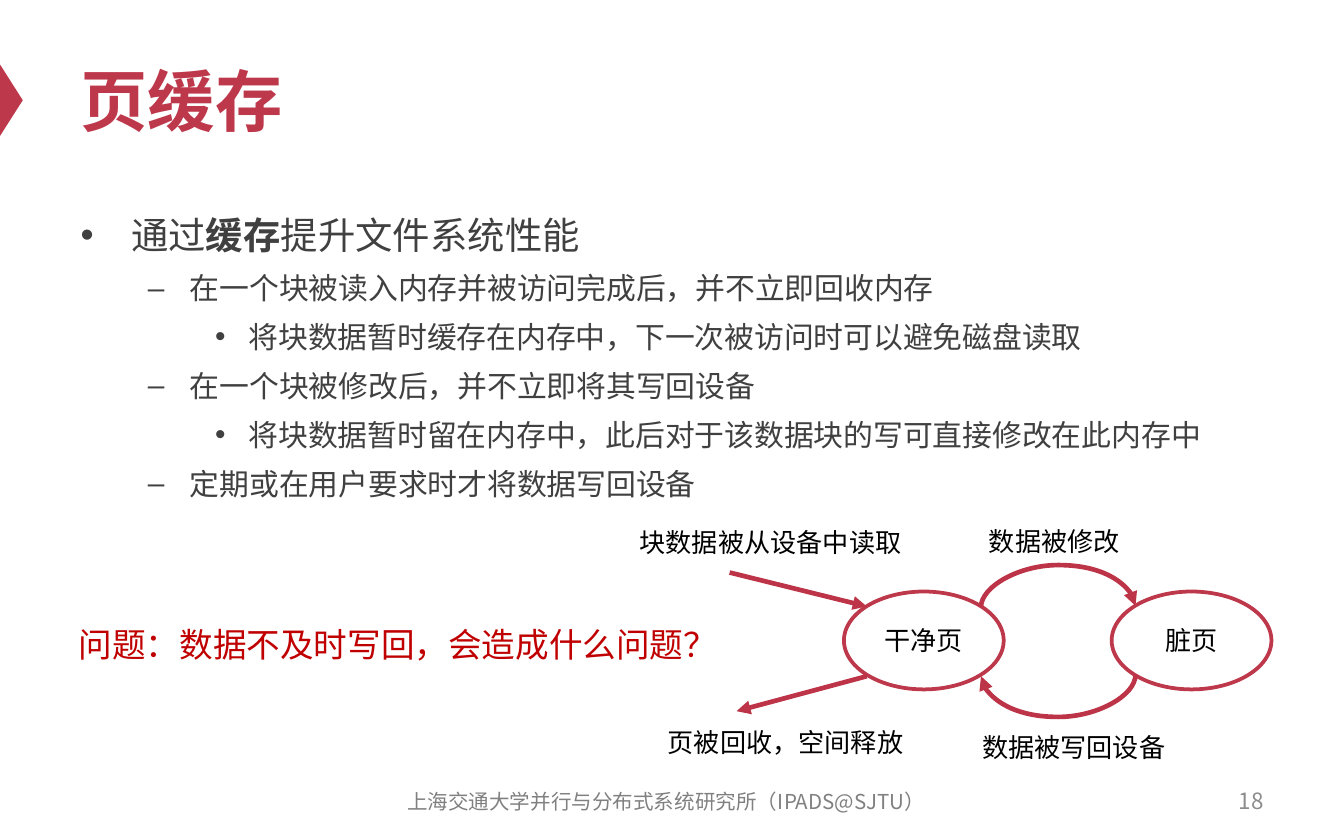
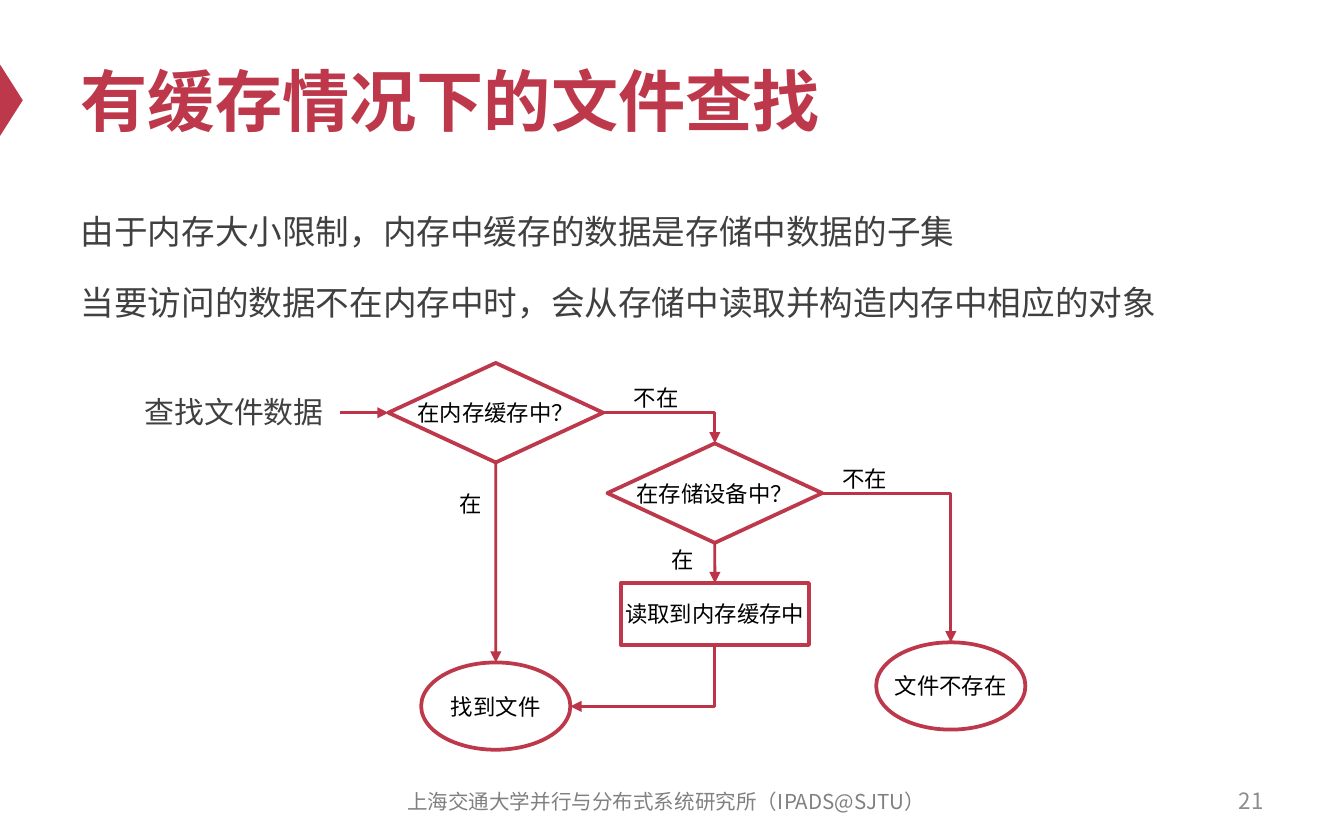
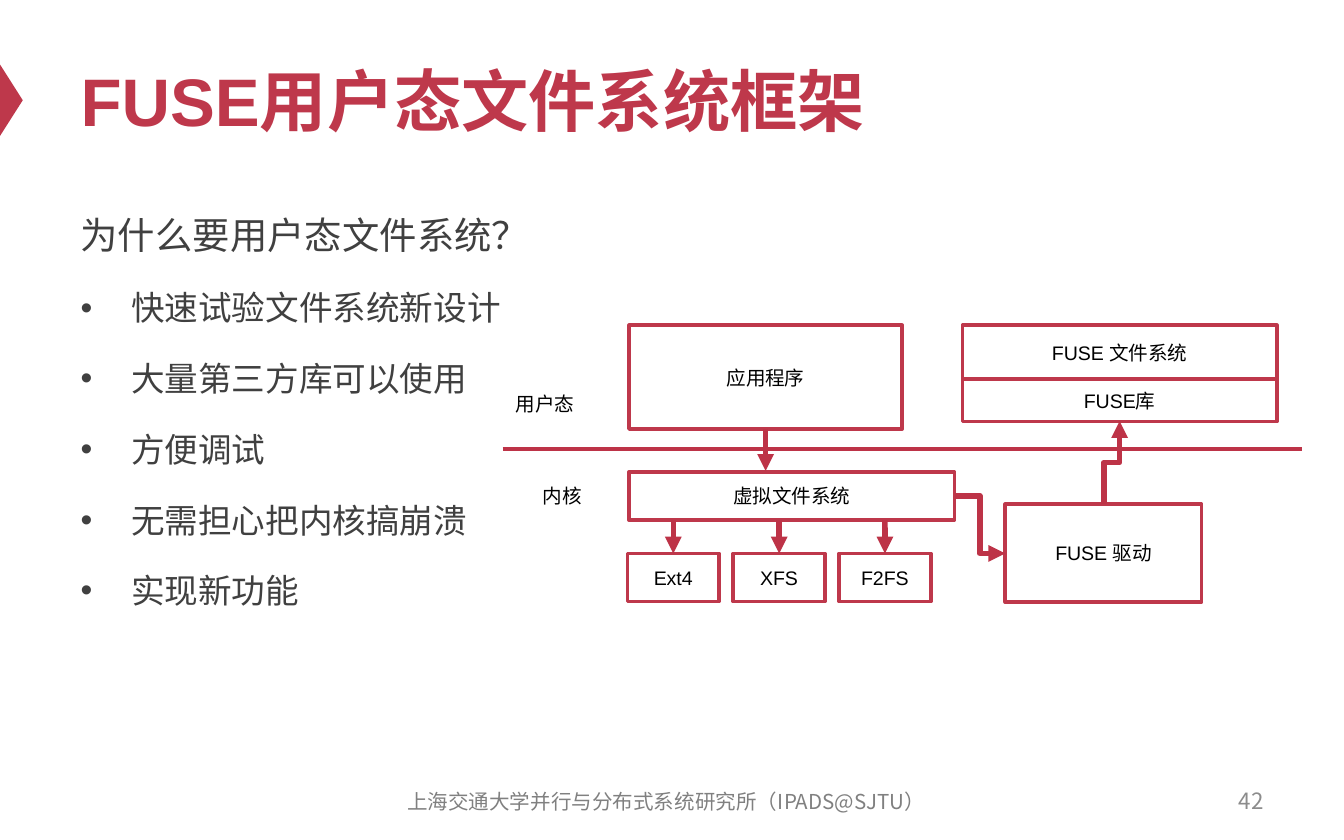
from lxml import etree
from pptx import Presentation
from pptx.dml.color import RGBColor
from pptx.enum.shapes import MSO_CONNECTOR, MSO_SHAPE
from pptx.enum.text import MSO_ANCHOR, MSO_AUTO_SIZE, PP_ALIGN
from pptx.oxml.ns import qn
from pptx.util import Cm, Pt

RED = RGBColor(0xBE, 0x38, 0x4B)
ARROW_RED = RGBColor(0xBD, 0x33, 0x47)
QUESTION_RED = RGBColor(0xC0, 0x00, 0x00)
BLACK = RGBColor(0x00, 0x00, 0x00)
WHITE = RGBColor(0xFF, 0xFF, 0xFF)
BODY_GREY = RGBColor(0x40, 0x40, 0x40)
FOOTER_GREY = RGBColor(0x80, 0x80, 0x80)
NUMBER_GREY = RGBColor(0x8C, 0x8C, 0x8C)

LATIN_FONT = "Arial"
CJK_FONT = "Noto Sans CJK SC"

RECT, OVAL = MSO_SHAPE.RECTANGLE, MSO_SHAPE.OVAL
DIAMOND, TRIANGLE = MSO_SHAPE.DIAMOND, MSO_SHAPE.ISOSCELES_TRIANGLE
STRAIGHT, ELBOW, CURVE = MSO_CONNECTOR.STRAIGHT, MSO_CONNECTOR.ELBOW, MSO_CONNECTOR.CURVE
LEFT, CENTER, RIGHT = PP_ALIGN.LEFT, PP_ALIGN.CENTER, PP_ALIGN.RIGHT
MIDDLE = MSO_ANCHOR.MIDDLE
NO_FIT, GROW = MSO_AUTO_SIZE.NONE, MSO_AUTO_SIZE.SHAPE_TO_FIT_TEXT
TOP_SIDE, LEFT_SIDE, BOTTOM_SIDE = 0, 1, 2

FOOTER = "上海交通大学并行与分布式系统研究所（IPADS@SJTU）"
TITLE_FORMAT = {"size": Pt(36), "bold": True}

# Title, page number, body width, then (level, size, bulleted, text); ** marks bold
PAGES = [
    ("页缓存", 18, 22.86, [
        (0, 20, True, "通过**缓存**提升文件系统性能"),
        (1, 16, True, "在一个块被读入内存并被访问完成后，并不立即回收内存"),
        (2, 16, True, "将块数据暂时缓存在内存中，下一次被访问时可以避免磁盘读取"),
        (1, 16, True, "在一个块被修改后，并不立即将其写回设备"),
        (2, 16, True, "将块数据暂时留在内存中，此后对于该数据块的写可直接修改在此内存中"),
        (1, 16, True, "定期或在用户要求时才将数据写回设备"),
    ]),
    ("有缓存情况下的文件查找", 21, 22.86, [
        (0, 18, False, "由于内存大小限制，内存中缓存的数据是存储中数据的子集"),
        (0, 18, False, "当要访问的数据不在内存中时，会从存储中读取并构造内存中相应的对象"),
    ]),
    ("FUSE用户态文件系统框架", 42, 11.43, [
        (0, 20, False, "为什么要用户态文件系统？"),
        (0, 18, True, "快速试验文件系统新设计"),
        (0, 18, True, "大量第三方库可以使用"),
        (0, 18, True, "方便调试"),
        (0, 18, True, "无需担心把内核搞崩溃"),
        (0, 18, True, "实现新功能"),
    ]),
]


def add_box(slide, kind, place, text, size, color=BLACK, align=LEFT):
    """Add an outlined node of the given kind, or a text box if kind is None."""
    lengths = [Cm(length) for length in place]
    if kind is None:
        box = slide.shapes.add_textbox(*lengths)
    else:
        box = slide.shapes.add_shape(kind, *lengths)
        box.shadow.inherit = False
        box.fill.solid()
        box.fill.fore_color.rgb = WHITE
        box.line.color.rgb = RED
        box.line.width = Pt(2)
        align = CENTER
    frame = box.text_frame
    is_label = align == LEFT
    frame.word_wrap = kind is None and not is_label
    frame.auto_size = GROW if is_label else NO_FIT
    if not is_label:
        frame.vertical_anchor = MIDDLE
    paragraph = frame.paragraphs[0]
    paragraph.alignment = align
    run = paragraph.add_run()
    run.text = text
    run.font.size = Pt(size)
    run.font.color.rgb = color
    return box


def add_link(slide, kind, begin, end, width, preset=None, turned=False, bulge=None, arrow=True):
    """Draw a connector; a turned one leaves its start vertically."""
    x1, y1, x2, y2 = (Cm(length) for length in (*begin, *end))
    link = slide.shapes.add_connector(kind, x1, y1, x2, y2)
    link.line.color.rgb = ARROW_RED
    link.line.width = Pt(width)
    properties = link.element.spPr
    etree.SubElement(properties, qn("a:effectLst"))
    if arrow:
        etree.SubElement(properties.find(qn("a:ln")), qn("a:tailEnd"), type="triangle")
    geometry = properties.find(qn("a:prstGeom"))
    if preset:
        geometry.set("prst", preset)
    if turned:
        link.width, link.height = abs(y2 - y1), abs(x2 - x1)
        link.left = (x1 + x2 - link.width) // 2
        link.top = (y1 + y2 - link.height) // 2
        for name, value in {"rot": 5400000, "flipH": int(y2 < y1), "flipV": int(x2 > x1)}.items():
            properties.xfrm.set(name, str(value))
    if bulge:
        share = round(Cm(bulge) / abs(y2 - y1) * 100000)
        guides = geometry.find(qn("a:avLst"))
        etree.SubElement(guides, qn("a:gd"), name="adj1", fmla=f"val {share}")
    return link


prs = Presentation()
prs.slide_width, prs.slide_height = Cm(25.4), Cm(25.4 / 1.6)
layout = prs.slide_layouts[1]

# Shared frame: title, body, footer and page number
slides = []
for title_text, number, body_width, lines in PAGES:
    slide = prs.slides.add_slide(layout)
    slides.append(slide)
    title, body = slide.placeholders
    for holder, place in ((title, (1.27, 0.64, 22.86, 2.49)), (body, (1.27, 3.71, body_width, 10.46))):
        holder.left, holder.top, holder.width, holder.height = (Cm(length) for length in place)
        holder.text_frame.auto_size = NO_FIT

    title.text_frame.vertical_anchor = MIDDLE
    heading = title.text_frame.paragraphs[0]
    heading.alignment = LEFT
    run = heading.add_run()
    run.text = title_text
    run.font.color.rgb = RED
    for name, value in TITLE_FORMAT.items():
        setattr(run.font, name, value)

    for index, (level, size, bulleted, text) in enumerate(lines):
        line = body.text_frame.add_paragraph() if index else body.text_frame.paragraphs[0]
        if not bulleted:
            settings = line._p.get_or_add_pPr()
            settings.set("marL", "0")
            settings.set("indent", "0")
            etree.SubElement(settings, qn("a:buNone"))
        line.level = level
        line.line_spacing = 1.2
        if level == 0:
            line.space_before = Pt(12 if index else 0)
        for part_index, part in enumerate(text.split("**")):
            run = line.add_run()
            run.text = part
            run.font.size = Pt(size)
            run.font.bold = part_index % 2 == 1
            run.font.color.rgb = BODY_GREY

    for place, text, size, color, align in (
        ((7.09, 14.73, 11.0, 0.84), FOOTER, 11, FOOTER_GREY, CENTER),
        ((18.21, 14.71, 5.92, 0.84), str(number), 12, NUMBER_GREY, RIGHT),
    ):
        note = add_box(slide, None, place, text, size, color, align)
        note.text_frame.paragraphs[0].runs[0].font.name = CJK_FONT

cache_slide, lookup_slide, fuse_slide = slides

# The title marker belongs to the master
marker = cache_slide.shapes.add_shape(TRIANGLE, Cm(-0.46), Cm(1.68), Cm(1.35), Cm(0.43))
marker.rotation = 90
marker.shadow.inherit = False
marker.fill.solid()
marker.fill.fore_color.rgb = RED
marker.line.fill.background()
prs.slide_master.shapes.element.append(marker.element)

# Page states
for left, state in ((15.95, "干净页"), (21.01, "脏页")):
    add_box(cache_slide, OVAL, (left, 11.18, 3.02, 1.85), state, 14)
for left, top, width, event in (
    (11.84, 9.83, 5.51, "块数据被从设备中读取"),
    (18.44, 9.8, 3.0, "数据被修改"),
    (18.31, 13.69, 4.01, "数据被写回设备"),
    (12.37, 13.61, 5.0, "页被回收，空间释放"),
):
    add_box(cache_slide, None, (left, top, width, 0.86), event, 14)
add_box(cache_slide, None, (1.24, 11.66, 12.7, 1.02),
        "问题：数据不及时写回，会造成什么问题？", 18, QUESTION_RED)
for begin, end in (((13.79, 10.82), (16.38, 11.46)), ((16.38, 12.78), (13.92, 13.44))):
    add_link(cache_slide, STRAIGHT, begin, end, 2.5)
for begin, end in (((18.54, 11.48), (21.46, 11.45)), ((21.46, 12.75), (18.54, 12.78))):
    add_link(cache_slide, CURVE, begin, end, 2.5, turned=True, bulge=0.8)

# File lookup
in_memory = add_box(lookup_slide, DIAMOND, (7.34, 6.86, 4.06, 1.88), "在内存缓存中？", 12)
in_storage = add_box(lookup_slide, DIAMOND, (11.48, 8.38, 4.06, 1.88), "在存储设备中？", 12)
load = add_box(lookup_slide, RECT, (11.73, 11.02, 3.56, 1.17), "读取到内存缓存中", 12)
add_box(lookup_slide, OVAL, (16.56, 12.14, 2.82, 1.65), "文件不存在", 12)
found = add_box(lookup_slide, OVAL, (7.96, 12.52, 2.82, 1.65), "找到文件", 12)
for left, top, width, answer in (
    (8.43, 9.14, 0.94, "在"),
    (11.73, 7.14, 1.37, "不在"),
    (15.67, 8.66, 1.37, "不在"),
    (12.45, 10.19, 0.94, "在"),
):
    add_box(lookup_slide, None, (left, top, width, 0.76), answer, 12)
add_box(lookup_slide, None, (2.49, 7.32, 3.94, 0.94), "查找文件数据", 16, BODY_GREY)

start = add_link(lookup_slide, STRAIGHT, (6.43, 7.8), (7.34, 7.8), 1.5)
start.end_connect(in_memory, LEFT_SIDE)
for source, target, begin, end in (
    (in_memory, found, (9.37, 8.74), (9.37, 12.52)),
    (in_storage, load, (13.51, 10.26), (13.51, 11.02)),
):
    yes = add_link(lookup_slide, STRAIGHT, begin, end, 1.5)
    yes.begin_connect(source, BOTTOM_SIDE)
    yes.end_connect(target, TOP_SIDE)
for begin, end, turned in (
    ((11.4, 7.8), (13.51, 8.38), False),
    ((15.54, 9.32), (17.97, 12.14), False),
    ((13.51, 12.19), (10.78, 13.35), True),
):
    add_link(lookup_slide, ELBOW, begin, end, 1.5, preset="bentConnector2", turned=turned)

# FUSE architecture
add_link(fuse_slide, STRAIGHT, (9.5, 8.48), (24.61, 8.48), 2.25, arrow=False)
application = add_box(fuse_slide, RECT, (11.89, 6.15, 5.16, 1.96), "应用程序", 10.5)
for place, component in (
    ((11.89, 8.92, 6.15, 0.91), "虚拟文件系统"),
    ((19.0, 9.53, 3.71, 1.85), "FUSE 驱动"),
    ((18.19, 7.16, 5.94, 0.81), "FUSE库"),
    ((18.19, 6.15, 5.94, 1.02), "FUSE 文件系统"),
):
    add_box(fuse_slide, RECT, place, component, 10.5)
for place, mode in (((9.5, 7.29, 1.98, 0.86), "用户态"), ((10.01, 9.02, 1.52, 0.86), "内核")):
    add_box(fuse_slide, None, place, mode, 10.5)

system_call = add_link(fuse_slide, STRAIGHT, (14.47, 8.11), (14.47, 8.9), 3)
system_call.begin_connect(application, BOTTOM_SIDE)
for column, name in enumerate(("Ext4", "XFS", "F2FS")):
    left = 11.86 + 2 * column
    file_system = add_box(fuse_slide, RECT, (left, 10.46, 1.73, 0.91), name, 10.5)
    center = left + 1.73 / 2
    dispatch = add_link(fuse_slide, STRAIGHT, (center, 9.83), (center, 10.46), 3)
    dispatch.end_connect(file_system, TOP_SIDE)
add_link(fuse_slide, ELBOW, (18.04, 9.37), (19.0, 10.46), 3)
add_link(fuse_slide, ELBOW, (20.86, 9.53), (21.16, 7.96), 3, turned=True)

# Fonts for every run
for slide in slides:
    for shape in slide.shapes:
        if shape.has_text_frame:
            for paragraph in shape.text_frame.paragraphs:
                for run in paragraph.runs:
                    run.font.name = run.font.name or LATIN_FONT
    for run_format in slide.element.iter(qn("a:rPr")):
        etree.SubElement(run_format, qn("a:ea"), typeface=CJK_FONT)

prs.save("out.pptx")
